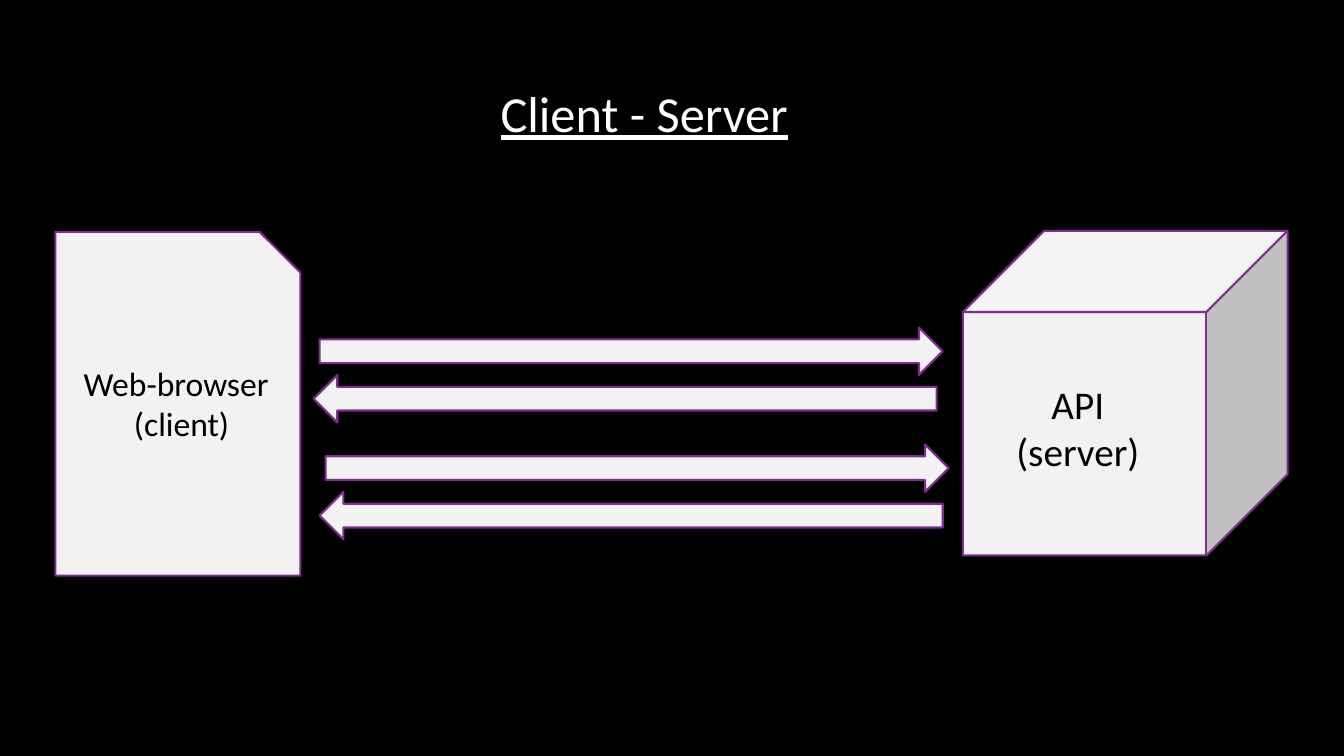
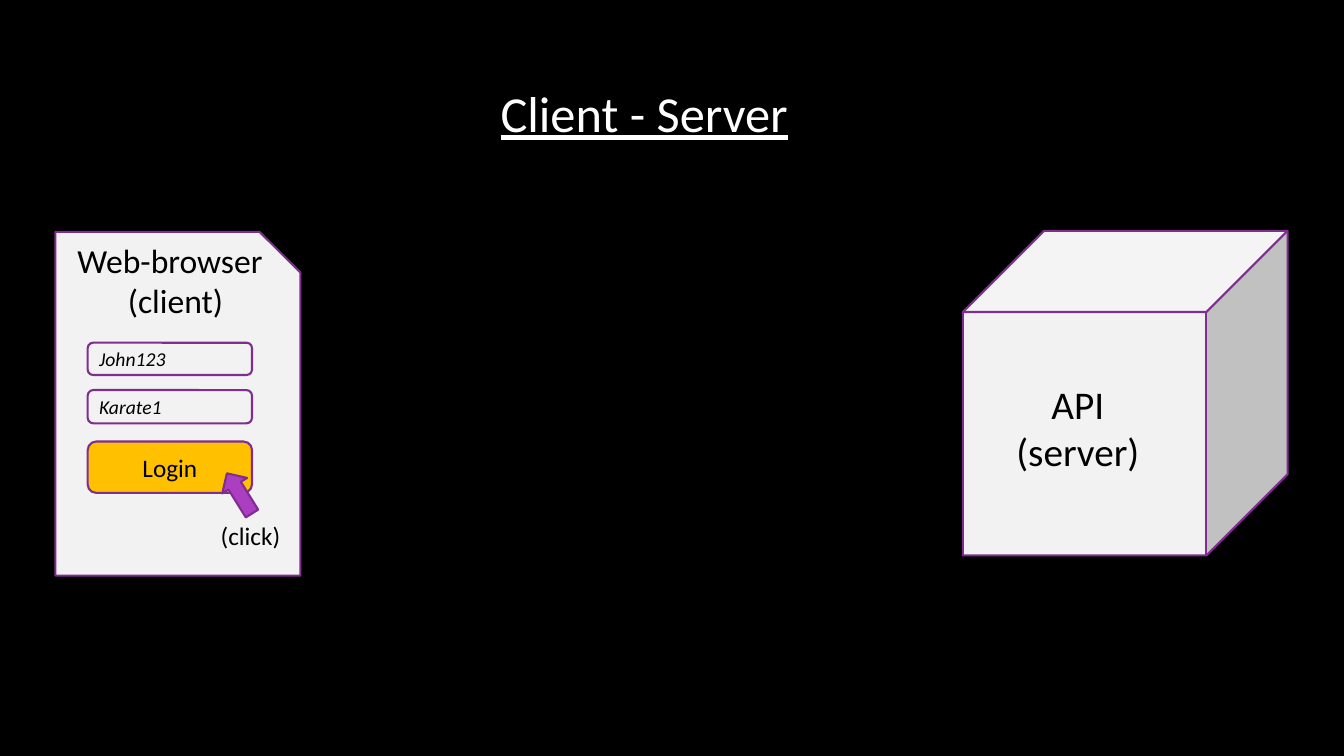
from typing import NamedTuple, Optional

from pptx import Presentation
from pptx.dml.color import RGBColor
from pptx.enum.shapes import MSO_SHAPE as SHAPE
from pptx.enum.text import MSO_ANCHOR as ANCHOR, MSO_AUTO_SIZE as AUTO_SIZE, PP_ALIGN as ALIGN
from pptx.shapes.autoshape import Shape
from pptx.slide import Slide
from pptx.util import Inches, Pt

COLORS = {
    "background": "000000",
    "title": "FFFFFF",
    "text": "000000",
    "panel": "F2F2F2",
    "outline": "7F2E8F",
    "button": "FFC000",
    "pointer": "AC3EC1",
}
FONT = "Calibri"
TITLE_ONLY = 5


class Box(NamedTuple):
    left: float
    top: float
    width: float
    height: float


class Control(NamedTuple):
    label: str
    top: float
    height: float
    fill: Optional[str]
    size: int
    align: ALIGN
    italic: bool


TITLE = Box(4.61, 0.76, 3.56, 0.71)
BROWSER = Box(0.55, 2.3, 2.43, 3.41)
SERVER = Box(9.55, 2.29, 3.22, 3.22)
CONTROL_LEFT, CONTROL_WIDTH = 0.87, 1.63
CONTROLS = [
    Control("Login", 4.38, 0.51, "button", 18, ALIGN.CENTER, False),
    Control("John123", 3.4, 0.32, None, 14, ALIGN.LEFT, True),
    Control("Karate1", 3.87, 0.33, None, 14, ALIGN.LEFT, True),
]
ARROW_WIDTH, ARROW_HEIGHT = 6.18, 0.47
REPLY_SHIFT = 0.06
REQUESTS = [(3.17, 3.25), (3.23, 4.41)]  # left, top of each request arrow


def rgb(name: str) -> RGBColor:
    return RGBColor.from_string(COLORS[name])


def lengths(box: Box) -> list[int]:
    return [Inches(v) for v in box]


def set_text(sp: Shape, text: str, size: int, color: str = "text",
             align: ALIGN = ALIGN.LEFT, italic: bool = False, underline: bool = False) -> None:
    tf = sp.text_frame
    tf.text = text
    for p in tf.paragraphs:
        p.alignment = align
        for r in p.runs:
            font = r.font
            font.name, font.size = FONT, Pt(size)
            font.color.rgb = rgb(color)
            font.italic, font.underline = italic, underline


def add_shape(s: Slide, kind: SHAPE, box: Box, fill: Optional[str] = "panel",
              rotation: float = 0) -> Shape:
    sp = s.shapes.add_shape(kind, *lengths(box))
    sp.shadow.inherit = False
    sp.rotation = rotation
    if fill:
        sp.fill.solid()
        sp.fill.fore_color.rgb = rgb(fill)
    else:
        sp.fill.background()
    sp.line.color.rgb = rgb("outline")
    sp.line.width = Pt(1.5)
    return sp


def add_label(s: Slide, box: Box, text: str, size: int, align: ALIGN = ALIGN.LEFT) -> Shape:
    sp = s.shapes.add_textbox(*lengths(box))
    sp.text_frame.word_wrap = True
    set_text(sp, text, size, align=align)
    return sp


def add_browser(s: Slide, label_box: Box) -> None:
    add_shape(s, SHAPE.SNIP_1_RECTANGLE, BROWSER)
    label = add_label(s, label_box, "Web-browser\n(client)", 24)
    # Indent the second line under the first
    label.text_frame.paragraphs[1]._p.get_or_add_pPr().set("marL", str(Inches(0.5)))


def add_server(s: Slide) -> None:
    add_shape(s, SHAPE.CUBE, SERVER)
    add_label(s, Box(9.8, 3.72, 1.78, 1.04), "API\n(server)", 28, ALIGN.CENTER)


def add_exchange(s: Slide, left: float, top: float) -> None:
    """Draw a request arrow with its reply right below."""
    request = Box(left, top, ARROW_WIDTH, ARROW_HEIGHT)
    reply = request._replace(left=left - REPLY_SHIFT, top=top + ARROW_HEIGHT)
    add_shape(s, SHAPE.RIGHT_ARROW, request)
    add_shape(s, SHAPE.RIGHT_ARROW, reply, rotation=180)


def add_control(s: Slide, control: Control) -> None:
    box = Box(CONTROL_LEFT, control.top, CONTROL_WIDTH, control.height)
    sp = add_shape(s, SHAPE.ROUNDED_RECTANGLE, box, control.fill)
    sp.text_frame.vertical_anchor = ANCHOR.MIDDLE
    set_text(sp, control.label, control.size, align=control.align, italic=control.italic)


def add_slide(prs: Presentation) -> Slide:
    s = prs.slides.add_slide(prs.slide_layouts[TITLE_ONLY])
    title = s.shapes.title
    title.left, title.top, title.width, title.height = lengths(TITLE)
    tf = title.text_frame
    tf.word_wrap = False
    tf.auto_size = AUTO_SIZE.NONE
    tf.vertical_anchor = ANCHOR.TOP
    set_text(title, "Client - Server", 36, "title", ALIGN.CENTER, underline=True)
    return s


def build_exchange_slide(prs: Presentation) -> None:
    s = add_slide(prs)
    add_browser(s, Box(0.73, 3.55, 2.05, 0.91))
    add_server(s)
    for left, top in REQUESTS:
        add_exchange(s, left, top)


def build_login_slide(prs: Presentation) -> None:
    s = add_slide(prs)
    add_server(s)
    add_browser(s, Box(0.67, 2.33, 2.43, 0.91))
    for control in CONTROLS:
        add_control(s, control)
    # Mouse pointer
    add_shape(s, SHAPE.UP_ARROW, Box(2.23, 4.66, 0.29, 0.47), "pointer", 328)
    add_label(s, Box(2.09, 5.11, 0.81, 0.4), "(click)", 18)


def main() -> None:
    prs = Presentation()
    prs.slide_width, prs.slide_height = Inches(13.33), Inches(7.5)
    # Shared background
    fill = prs.slide_master.background.fill
    fill.solid()
    fill.fore_color.rgb = rgb("background")
    build_exchange_slide(prs)
    build_login_slide(prs)
    prs.save("out.pptx")


if __name__ == "__main__":
    main()
